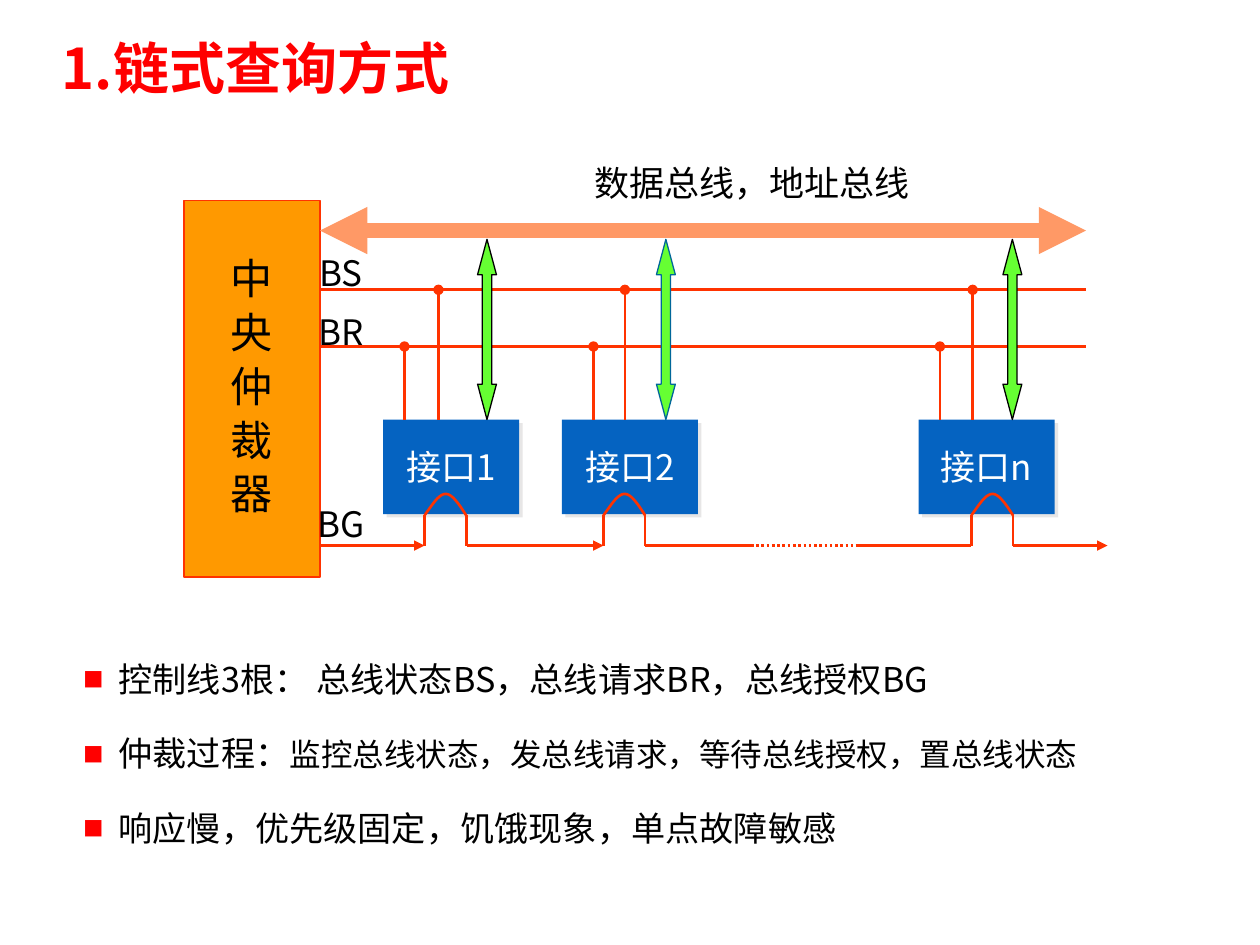
from lxml.etree import SubElement
from pptx import Presentation
from pptx.dml.color import RGBColor
from pptx.enum.dml import MSO_LINE
from pptx.enum.shapes import MSO_CONNECTOR, MSO_SHAPE
from pptx.enum.text import MSO_ANCHOR, MSO_AUTO_SIZE, PP_ALIGN
from pptx.oxml.ns import qn
from pptx.util import Inches, Pt

FONT = "Noto Sans CJK SC"
COLORS = {
    "red": "FF0000", "wire": "FF3300", "bus": "FF9966", "arbiter": "FF9900",
    "interface": "0563C1", "shadow": "E7E6E6", "green": "66FF33",
    "teal": "006699", "black": "000000", "white": "FFFFFF",
}
ARBITER_RIGHT, BUS_RIGHT = 2.54, 8.62
BUS_Y, BS_Y, BR_Y, BG_Y = 1.83, 2.3, 2.75, 4.33
INTERFACE_TOP, INTERFACE_WIDTH, INTERFACE_HEIGHT = 3.33, 1.08, 0.75
ARCH_WIDTH, ARCH_BASE = 0.33, 4.09
INTERFACES = [
    ("接口1", 3.04, {"br": 3.21, "bs": 3.48, "data": 3.79, "arch": 3.37, "edge": "black"}),
    ("接口2", 4.46, {"br": 4.71, "bs": 4.96, "data": 5.21, "arch": 4.79, "edge": "teal"}),
    ("接口n", 7.29, {"br": 7.46, "bs": 7.72, "data": 7.96, "arch": 7.71, "edge": "black"}),
]
BG_LINKS = [
    (ARBITER_RIGHT, 3.37, {"tail": "triangle"}),
    (3.71, 4.79, {"tail": "triangle"}),
    (5.12, 5.96, {}),
    (5.96, 6.79, {"dash": MSO_LINE.ROUND_DOT}),
    (6.79, 7.71, {}),
    (8.04, 8.79, {"tail": "triangle"}),
]
POINTS = [
    [("控制线3根： 总线状态BS，总线请求BR，总线授权BG", 19.5)],
    [("仲裁过程：", 19.5), ("监控总线状态，发总线请求，等待总线授权，置总线状态", 18)],
    [("响应慢，优先级固定，饥饿现象，单点故障敏感", 19.5)],
]


def rgb(name):
    """Return the palette colour of that name."""
    return RGBColor.from_string(COLORS[name])


def write(paragraph, text, size=20, color="black", bold=False,
          align=PP_ALIGN.CENTER, spacing=None, before=0):
    """Add a formatted run to a paragraph."""
    paragraph.alignment = align
    paragraph.line_spacing = spacing
    paragraph.space_before = Pt(before)
    run = paragraph.add_run()
    run.text = text
    run.font.size = Pt(size)
    run.font.bold = bold
    run.font.color.rgb = rgb(color)
    run.font.name = FONT
    SubElement(run.font._element, qn("a:ea"), typeface=FONT)


def place(shape, left, top, width, height):
    """Move a shape to a box given in inches."""
    shape.left, shape.top = Inches(left), Inches(top)
    shape.width, shape.height = Inches(width), Inches(height)


def add_label(slide, text, left, top, width, height, **style):
    """Add a one-line text box."""
    label = slide.shapes.add_textbox(*map(Inches, (left, top, width, height)))
    label.text_frame.word_wrap = True
    write(label.text_frame.paragraphs[0], text, **style)
    return label


def add_block(slide, kind, left, top, width, height, fill, edge=None):
    """Add a filled preset shape without the theme shadow."""
    block = slide.shapes.add_shape(kind, *map(Inches, (left, top, width, height)))
    block.shadow.inherit = False
    block.fill.solid()
    block.fill.fore_color.rgb = rgb(fill)
    if edge:
        block.line.color.rgb = rgb(edge)
        block.line.width = Pt(0.75)
    else:
        block.line.fill.background()
    block.text_frame.word_wrap = False
    block.text_frame.vertical_anchor = MSO_ANCHOR.MIDDLE
    return block


def add_shadow(block):
    """Give a block a hard offset shadow."""
    effects = block.element.spPr.find(qn("a:effectLst"))
    shadow = SubElement(effects, qn("a:outerShdw"), dist=str(Pt(2.8)),
                        dir="2700000", algn="ctr", rotWithShape="0")
    SubElement(shadow, qn("a:srgbClr"), val=COLORS["shadow"])


def add_data_arrow(slide, left, edge):
    """Add a double arrow between the bus and an interface."""
    arrow = add_block(slide, MSO_SHAPE.UP_DOWN_ARROW, left, 1.9, 0.15, 1.43,
                      "green", edge)
    guides = arrow.element.spPr.find(qn("a:prstGeom")).find(qn("a:avLst"))
    for guide in list(guides):
        guides.remove(guide)
    for name, value in (("adj1", 50000), ("adj2", 187000)):
        SubElement(guides, qn("a:gd"), name=name, fmla=f"val {value}")


def add_wire(slide, x1, y1, x2, y2, color="wire", width=1.5,
             head=None, tail=None, dash=None):
    """Add a straight line with optional ends and dashes."""
    wire = slide.shapes.add_connector(
        MSO_CONNECTOR.STRAIGHT, *map(Inches, (x1, y1, x2, y2)))
    wire.line.color.rgb = rgb(color)
    wire.line.width = Pt(width)
    if dash:
        wire.line.dash_style = dash
    properties = wire.element.spPr
    for tag, end in (("a:headEnd", head), ("a:tailEnd", tail)):
        if end:
            SubElement(properties.find(qn("a:ln")), qn(tag), type=end)
    SubElement(properties, qn("a:effectLst"))


def bezier(points, steps=10):
    """Return points along a cubic curve, without its start."""
    curve = []
    for step in range(1, steps + 1):
        t = step / steps
        weights = ((1 - t) ** 3, 3 * t * (1 - t) ** 2, 3 * t * t * (1 - t), t ** 3)
        curve.append(tuple(
            Inches(sum(w * p[axis] for w, p in zip(weights, points))) for axis in (0, 1)))
    return curve


def add_arch(slide, left):
    """Add the grant loop inside an interface, with its two legs."""
    right, base, top = left + ARCH_WIDTH, ARCH_BASE, ARCH_BASE - 0.17
    crown = (left + 0.17, top)
    rise = bezier([(left, base), (left + 0.06, base - 0.08), (left + 0.11, top), crown])
    fall = bezier([crown, (left + 0.23, top), (left + 0.31, base - 0.03), (right, base)])
    builder = slide.shapes.build_freeform(Inches(left), Inches(base))
    builder.add_line_segments(rise + fall, close=False)
    arch = builder.convert_to_shape()
    arch.shadow.inherit = False
    arch.fill.background()
    arch.line.color.rgb = rgb("wire")
    arch.line.width = Pt(1.5)
    for x in (left, right):
        add_wire(slide, x, base, x, BG_Y)


def add_arbiter(slide):
    """Add the central arbiter with its name set downwards."""
    arbiter = add_block(slide, MSO_SHAPE.RECTANGLE, 1.46, 1.59, 1.08, 2.99,
                        "arbiter", "wire")
    frame = arbiter.text_frame
    for index, character in enumerate("中央仲裁器"):
        paragraph = frame.add_paragraph() if index else frame.paragraphs[0]
        write(paragraph, character, size=24, spacing=0.9, before=4.8)


def add_interface(slide, name, left, parts):
    """Add an interface with its data arrow, stems and grant loop."""
    interface = add_block(slide, MSO_SHAPE.RECTANGLE, left, INTERFACE_TOP,
                          INTERFACE_WIDTH, INTERFACE_HEIGHT, "interface")
    add_shadow(interface)
    write(interface.text_frame.paragraphs[0], name, color="white")
    add_data_arrow(slide, parts["data"], parts["edge"])
    for x, y in ((parts["br"], BR_Y), (parts["bs"], BS_Y)):
        add_wire(slide, x, y, x, INTERFACE_TOP, head="oval")
    add_arch(slide, parts["arch"])


def add_points(body):
    """Fill the body placeholder with square-bulleted points."""
    place(body, 0.56, 5.01, 8.99, 2.19)
    frame = body.text_frame
    frame.auto_size = MSO_AUTO_SIZE.NONE
    for index, runs in enumerate(POINTS):
        paragraph = frame.add_paragraph() if index else frame.paragraphs[0]
        for text, size in runs:
            write(paragraph, text, size=size, align=PP_ALIGN.JUSTIFY,
                  spacing=1.5, before=7.5)
        properties = paragraph._p.get_or_add_pPr()
        properties.set("marL", str(Inches(0.28)))
        properties.set("indent", str(-Inches(0.28)))
        bullet_color = SubElement(properties, qn("a:buClr"))
        SubElement(bullet_color, qn("a:srgbClr"), val=COLORS["red"])
        SubElement(properties, qn("a:buSzPct"), val="60000")
        SubElement(properties, qn("a:buFont"), typeface=FONT)
        SubElement(properties, qn("a:buChar"), char="■")


def main():
    """Build the daisy-chain arbitration slide."""
    deck = Presentation()
    deck.slide_width, deck.slide_height = Inches(10), Inches(7.5)
    slide = deck.slides.add_slide(deck.slide_layouts[1])
    title, body = slide.placeholders
    place(title, 0.39, 0.23, 8.62, 0.68)
    title.text_frame.auto_size = MSO_AUTO_SIZE.NONE
    title.text_frame.vertical_anchor = MSO_ANCHOR.MIDDLE
    write(title.text_frame.paragraphs[0], "1.链式查询方式", size=32, color="red",
          bold=True, align=PP_ALIGN.LEFT, spacing=0.9)
    add_points(body)
    add_arbiter(slide)
    add_wire(slide, ARBITER_RIGHT, BUS_Y, BUS_RIGHT, BUS_Y, color="bus", width=9,
             head="triangle", tail="triangle")
    for y in (BS_Y, BR_Y):
        add_wire(slide, ARBITER_RIGHT, y, BUS_RIGHT, y)
    for name, left, parts in INTERFACES:
        add_interface(slide, name, left, parts)
    for start, end, style in BG_LINKS:
        add_wire(slide, start, BG_Y, end, BG_Y, **style)
    for name, top in (("BS", 1.88), ("BR", 2.35), ("BG", 3.87)):
        add_label(slide, name, 2.38, top, 0.65, 0.51, spacing=1.2, before=4)
    bus_label = add_label(slide, "数据总线，地址总线", 4.46, 1.23, 3.02, 0.43)
    bus_label.text_frame.vertical_anchor = MSO_ANCHOR.MIDDLE
    deck.save("out.pptx")


if __name__ == "__main__":
    main()
